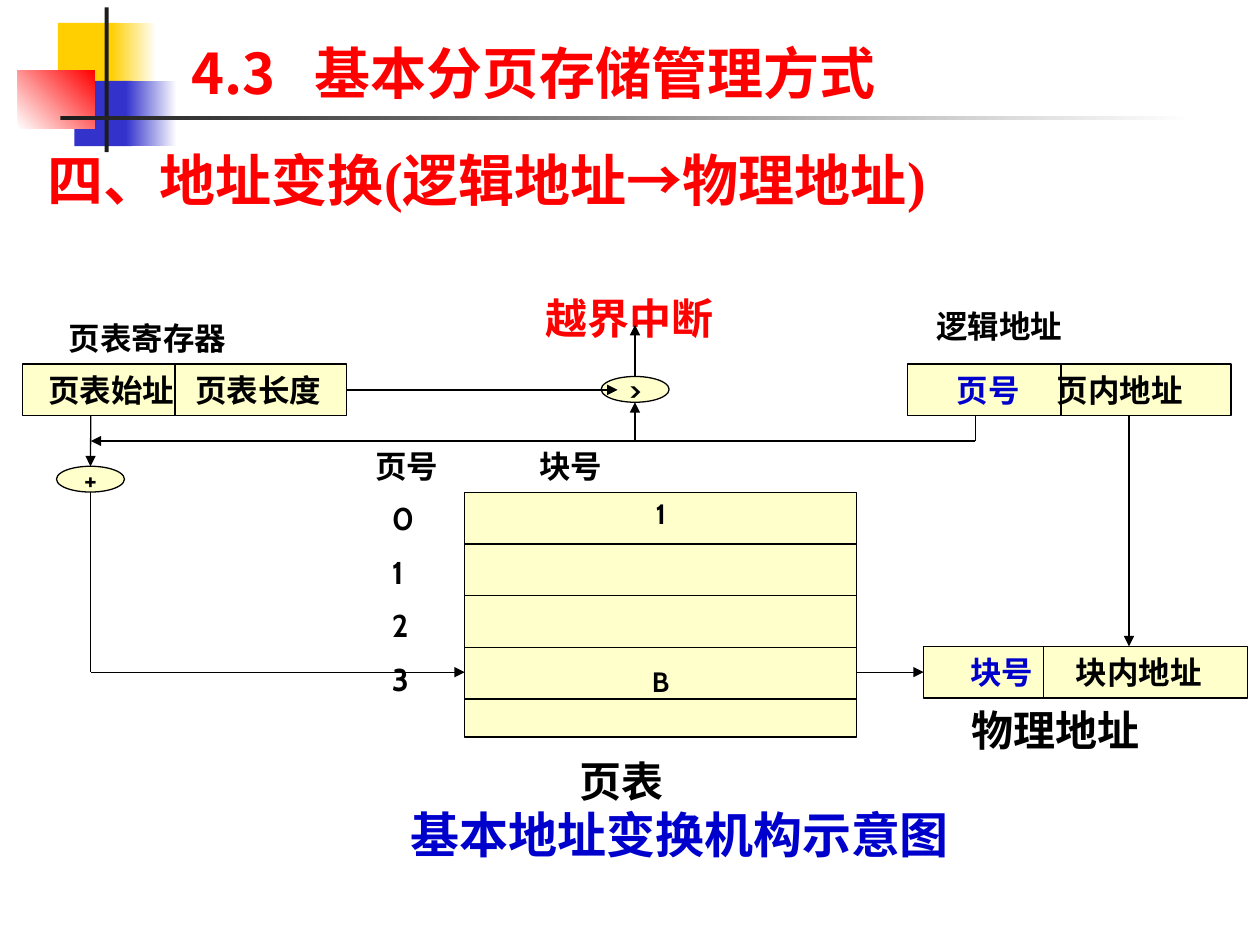
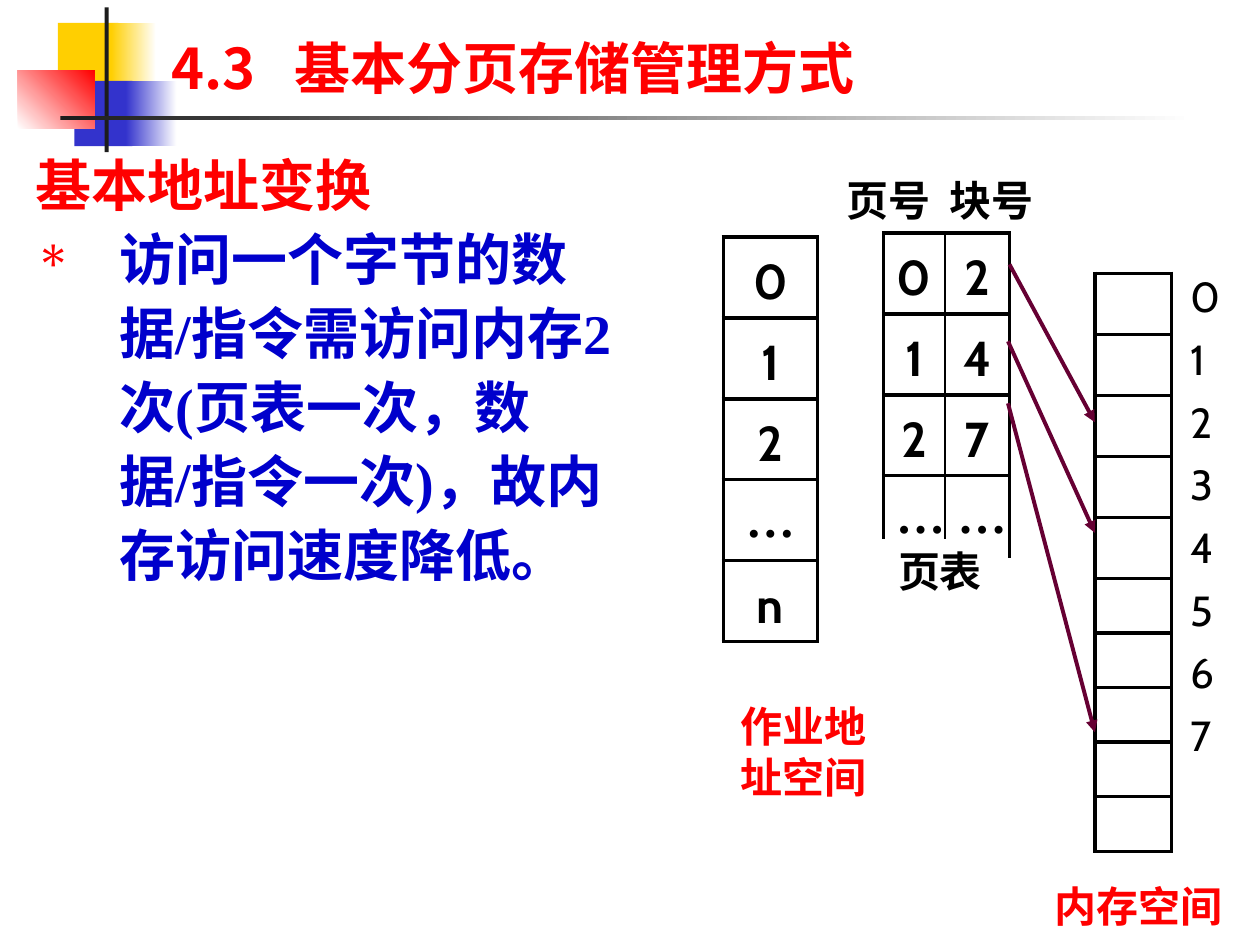
from dataclasses import dataclass

from lxml.etree import SubElement
from pptx import Presentation
from pptx.dml.color import RGBColor
from pptx.enum.lang import MSO_LANGUAGE_ID
from pptx.enum.shapes import MSO_CONNECTOR, MSO_SHAPE
from pptx.enum.text import MSO_ANCHOR, PP_ALIGN
from pptx.oxml import parse_xml
from pptx.oxml.ns import nsdecls, qn
from pptx.util import Cm, Pt


@dataclass(frozen=True)
class Theme:
    """Colours, fonts and type sizes of the deck."""
    black: str = "000000"
    white: str = "FFFFFF"
    red: str = "FF0000"
    blue: str = "0000CC"
    cream: str = "FFFFCC"
    wine: str = "660033"
    charcoal: str = "1C1C1C"
    gold: str = "FFCF01"
    indigo: str = "3333CC"
    sans: str = "Cabin"
    serif: str = "Times New Roman"
    heading: str = "Noto Sans CJK SC"
    title_size: int = 32
    caption_size: int = 28
    large: int = 24
    medium: int = 18
    small: int = 16
    thin: float = 0.75
    thick: float = 2.25


THEME = Theme()
SECTION = "4.3\t基本分页存储管理方式"


def rgb(color):
    """Turn a hex string into a colour."""
    return RGBColor.from_string(color)


def write(frame, paragraphs, size=18, color=THEME.black, font=THEME.sans,
          east="", bold=True, align=PP_ALIGN.LEFT, before=0, spacing=None,
          tab=None, hanging=0, bullet=None, anchor=MSO_ANCHOR.TOP,
          wrap=True, left=0.25, top=0.13, bottom=0.13):
    """Fill a text frame; a paragraph is a string or a list of (text, changes)."""
    frame.word_wrap = wrap
    frame.vertical_anchor = anchor
    frame.margin_left, frame.margin_right = Cm(left), Cm(0.25)
    frame.margin_top, frame.margin_bottom = Cm(top), Cm(bottom)
    for index, content in enumerate(paragraphs):
        paragraph = frame.add_paragraph() if index else frame.paragraphs[0]
        paragraph.alignment = align
        if spacing:
            paragraph.line_spacing = spacing
        if index and before:
            paragraph.space_before = Pt(before)
        properties = paragraph._p.get_or_add_pPr()
        if hanging:
            properties.set("marL", str(Cm(hanging)))
            properties.set("indent", str(-Cm(hanging)))
        if bullet and index:
            bullet_color = SubElement(properties, qn("a:buClr"))
            SubElement(bullet_color, qn("a:srgbClr"), val=THEME.red)
            SubElement(properties, qn("a:buSzPct"), val="90000")
            SubElement(properties, qn("a:buChar"), char=bullet)
        if tab:
            stops = SubElement(properties, qn("a:tabLst"))
            SubElement(stops, qn("a:tab"), pos=str(Cm(tab)), algn="l")
        parts = [(content, {})] if isinstance(content, str) else content
        for text, changes in parts:
            run = paragraph.add_run()
            run.text = text
            style = run.font
            style.size, style.bold = Pt(size), bold
            style.name = changes.get("font", font)
            style.color.rgb = rgb(changes.get("color", color))
            style.language_id = MSO_LANGUAGE_ID.SIMPLIFIED_CHINESE
            SubElement(run._r.get_or_add_rPr(), qn("a:ea"),
                       typeface=east or THEME.sans)


class Deck:
    """Holds the presentation, its theme and the current slide."""

    def __init__(self, theme):
        """Start a 4:3 presentation."""
        self.theme = theme
        self.presentation = Presentation()
        self.presentation.slide_width = Cm(25.4)
        self.presentation.slide_height = Cm(19.05)

    def new_slide(self, title, x, y, w, h):
        """Add a slide with the shared ornament and its title."""
        t = self.theme
        layout = self.presentation.slide_layouts[6]
        self.shapes = self.presentation.slides.add_slide(layout).shapes
        self.box(1.17, 0.46, 1.22, 1.32, t.gold)
        self.box(2.24, 0.46, 0.91, 1.32, (t.gold, t.white))
        self.box(1.5, 1.63, 1.17, 1.32, t.indigo)
        self.box(2.54, 1.63, 1.02, 1.32, (t.indigo, t.white))
        self.box(0.36, 1.42, 1.55, 1.17, (t.white, t.red), angle=45)
        self.box(2.11, 0.15, 0.08, 2.92, t.charcoal)
        self.box(1.22, 2.34, 22.86, 0.08, (t.charcoal, t.white))
        self.label([title], x, y, w, h, size=t.title_size, color=t.red,
                   font=t.heading, east=t.heading, tab=2.49, bottom=0,
                   anchor=MSO_ANCHOR.BOTTOM)

    def box(self, x, y, w, h, fill, angle=0, outline=False,
            kind=MSO_SHAPE.RECTANGLE):
        """Draw a preset shape with a plain or two-colour fill."""
        shape = self.shapes.add_shape(kind, Cm(x), Cm(y), Cm(w), Cm(h))
        shape.shadow.inherit = False
        if isinstance(fill, tuple):
            shape.fill.gradient()
            shape.fill.gradient_angle = angle
            for stop, color in zip(shape.fill.gradient_stops, fill):
                stop.color.rgb = rgb(color)
        else:
            shape.fill.solid()
            shape.fill.fore_color.rgb = rgb(fill)
        if outline:
            shape.line.color.rgb = rgb(self.theme.black)
            shape.line.width = Pt(self.theme.thin)
        else:
            shape.line.fill.background()
        return shape

    def label(self, paragraphs, x, y, w, h, fill=None, **style):
        """Place free text, over a fill if one is given."""
        shape = self.shapes.add_textbox(Cm(x), Cm(y), Cm(w), Cm(h))
        if fill:
            shape.fill.solid()
            shape.fill.fore_color.rgb = rgb(fill)
        write(shape.text_frame, paragraphs, **style)

    def line(self, x1, y1, x2, y2, arrow=True, color=None, width=None,
             start=None, end=None):
        """Draw a straight line, joined to (shape, site) ends if given."""
        line = self.shapes.add_connector(
            MSO_CONNECTOR.STRAIGHT, Cm(x1), Cm(y1), Cm(x2), Cm(y2))
        line.line.color.rgb = rgb(color or self.theme.black)
        line.line.width = Pt(width or self.theme.thin)
        if arrow:
            SubElement(line.line._get_or_add_ln(), qn("a:tailEnd"),
                       type="triangle")
        SubElement(line._element.spPr, qn("a:effectLst"))
        if start:
            line.begin_connect(*start)
        if end:
            line.end_connect(*end)

    def fields(self, first, second, x, y, divider, left, tab, color):
        """Draw an address word split into two fields."""
        word = self.box(x, y, 6.53, 1.04, self.theme.cream, outline=True)
        write(word.text_frame,
              [[(first, {"color": color}), ("\t" + second, {})]],
              size=self.theme.medium, left=left, tab=tab,
              anchor=MSO_ANCHOR.MIDDLE)
        self.line(divider, y, divider, y + 1.04, arrow=False)
        return word

    def operator(self, sign, x, y):
        """Draw an oval with an operator sign."""
        oval = self.box(x, y, 1.37, 0.52, self.theme.cream, outline=True,
                        kind=MSO_SHAPE.OVAL)
        write(oval.text_frame, [sign], size=self.theme.small, wrap=False,
              align=PP_ALIGN.CENTER, anchor=MSO_ANCHOR.MIDDLE)
        return oval

    def grid(self, rows, x, y, widths, heights):
        """Add a white table with thick edges and thin inner columns."""
        t = self.theme
        holder = self.shapes.add_table(len(rows), len(widths), Cm(x), Cm(y),
                                       Cm(sum(widths)), Cm(sum(heights)))
        table = holder.table
        table.first_row = table.horz_banding = False
        for column, width in zip(table.columns, widths):
            column.width = Cm(width)
        for r, (values, height) in enumerate(zip(rows, heights)):
            table.rows[r].height = Cm(height)
            for c, value in enumerate(values):
                cell = table.cell(r, c)
                cell.fill.solid()
                cell.fill.fore_color.rgb = rgb(t.white)
                if value:
                    font = t.serif if value == "…" else t.sans
                    write(cell.text_frame, [value], size=t.caption_size,
                          font=font, align=PP_ALIGN.CENTER, spacing=1.15)
                inner = {"L": c > 0, "R": c < len(widths) - 1}
                for place, side in enumerate("LRTB"):
                    width = Pt(1 if inner.get(side) else t.thick)
                    cell._tc.get_or_add_tcPr().insert(place, parse_xml(
                        f'<a:ln{side} {nsdecls("a")} w="{width}"><a:solidFill>'
                        f'<a:srgbClr val="{t.black}"/></a:solidFill></a:ln{side}>'))


def build_translation(deck):
    """Show how a logical address becomes a physical one."""
    t = deck.theme
    deck.new_slide(SECTION, 3.61, 0.89, 20.98, 1.24)
    deck.label([[("四、地址变换(逻辑地址", {}), ("→", {"font": t.sans}),
                 ("物理地址)", {})]], 0.71, 2.67, 24.05, 2.36,
               size=t.title_size, color=t.red, font=t.serif, spacing=1.1)

    register = deck.fields("页表始址", "页表长度", 0.46, 7.34, 3.53,
                           0.51, 2.97, t.black)
    deck.fields("页号", "页内地址", 18.29, 7.34, 21.39, 1, 2.01, t.blue)
    physical = deck.fields("块号", "块内地址", 18.62, 13.03, 21.03,
                           0.94, 2.13, t.blue)

    page_table = deck.box(9.37, 9.93, 7.9, 4.93, t.cream, outline=True)
    write(page_table.text_frame, ["1", "B"], size=t.small, before=77,
          align=PP_ALIGN.CENTER, top=0.08)
    for row in range(1, 5):
        y = 9.93 + row * 1.04
        deck.line(9.37, y, 17.27, y, arrow=False)

    for text, x, y, w, size, color in (
            ("页表寄存器", 1.14, 6.3, 5.16, t.medium, t.black),
            ("逻辑地址", 18.62, 6.05, 4.47, t.medium, t.black),
            ("越界中断", 10.74, 5.77, 4.47, t.large, t.red),
            ("页表", 11.43, 15.11, 4.8, t.large, t.black),
            ("物理地址", 19.33, 14.07, 4.47, t.large, t.black),
            ("基本地址变换机构示意图", 8.03, 16.08, 11.43, t.caption_size, t.blue)):
        deck.label([text], x, y, w, 1.27, size=size, color=color)
    deck.label(["页号\t块号"], 7.32, 8.89, 8.23, 1.02, size=t.medium, tab=3.3)
    deck.label(list("0123"), 7.65, 9.93, 1.37, 4.47, size=t.medium, before=9)

    deck.operator(">", 12.12, 7.59)
    adder = deck.operator("+", 1.14, 9.4)
    deck.line(1.83, 8.38, 1.83, 9.4, end=(adder, 0))
    deck.line(19.66, 8.38, 19.66, 8.89, arrow=False)
    deck.line(19.66, 8.89, 1.83, 8.89)
    deck.line(12.8, 8.89, 12.8, 8.11)
    deck.line(12.8, 7.59, 12.8, 6.55)
    deck.line(1.83, 9.92, 1.83, 13.55, arrow=False)
    deck.line(1.83, 13.55, 9.37, 13.55)
    deck.line(17.27, 13.55, 18.62, 13.55, end=(physical, 1))
    deck.line(22.76, 8.38, 22.76, 13.03)
    deck.line(6.99, 7.86, 12.45, 7.86, start=(register, 3))


def build_memory_access(deck):
    """Show pages mapped through the page table into memory blocks."""
    t = deck.theme
    deck.new_slide(SECTION, 3.2, 0.15, 21.64, 1.88)
    access_cost = ("访问一个字节的数据/指令需访问内存2次"
                   "(页表一次，数据/指令一次)，故内存访问速度降低。")
    deck.label([[("基本地址变换", {"color": t.red, "font": t.sans})], access_cost],
               0.46, 2.77, 12.5, 14.88, size=t.title_size, color=t.blue,
               font=t.serif, spacing=1.1, hanging=1.7, bullet="∗")

    row = 1.63
    deck.grid(["02", "14", "27", "……"], 17.81, 4.7, [1.24, 1.3], [row] * 4)
    deck.label(["页号\t块号"], 16.81, 3.38, 5.38, 1.27, fill=t.white,
               size=t.large, tab=2.08)
    deck.grid("012…n", 14.58, 4.78, [1.9], [row] * 5)
    deck.label(["作业地址空间"], 14.2, 14, 3.51, 2.29, fill=t.white,
               size=t.large, color=t.red, align=PP_ALIGN.RIGHT)
    deck.grid([[""]] * 10, 22.07, 5.51, [1.55], [1.23] * 5 + [1.1] * 5)
    deck.label(list("01234567"), 23.75, 5.33, 1.27, 13.13, fill=t.white,
               size=t.large, bold=False, before=7)
    for x, page_y, block_y in ((20.35, 5.33, 8.51), (20.32, 6.88, 10.74),
                               (20.32, 8.13, 14.76)):
        deck.line(x, page_y, 22.07, block_y, color=t.wine, width=t.thick)
    for text, x, y, w, color in (("内存空间", 20.83, 17.63, 4.24, t.red),
                                 ("页表", 17.58, 10.87, 2.74, t.black)):
        deck.label([text], x, y, w, 1.27, fill=t.white, size=t.large,
                   color=color, align=PP_ALIGN.CENTER)


def main():
    """Build and save the deck."""
    deck = Deck(THEME)
    build_translation(deck)
    build_memory_access(deck)
    deck.presentation.save("out.pptx")


if __name__ == "__main__":
    main()
